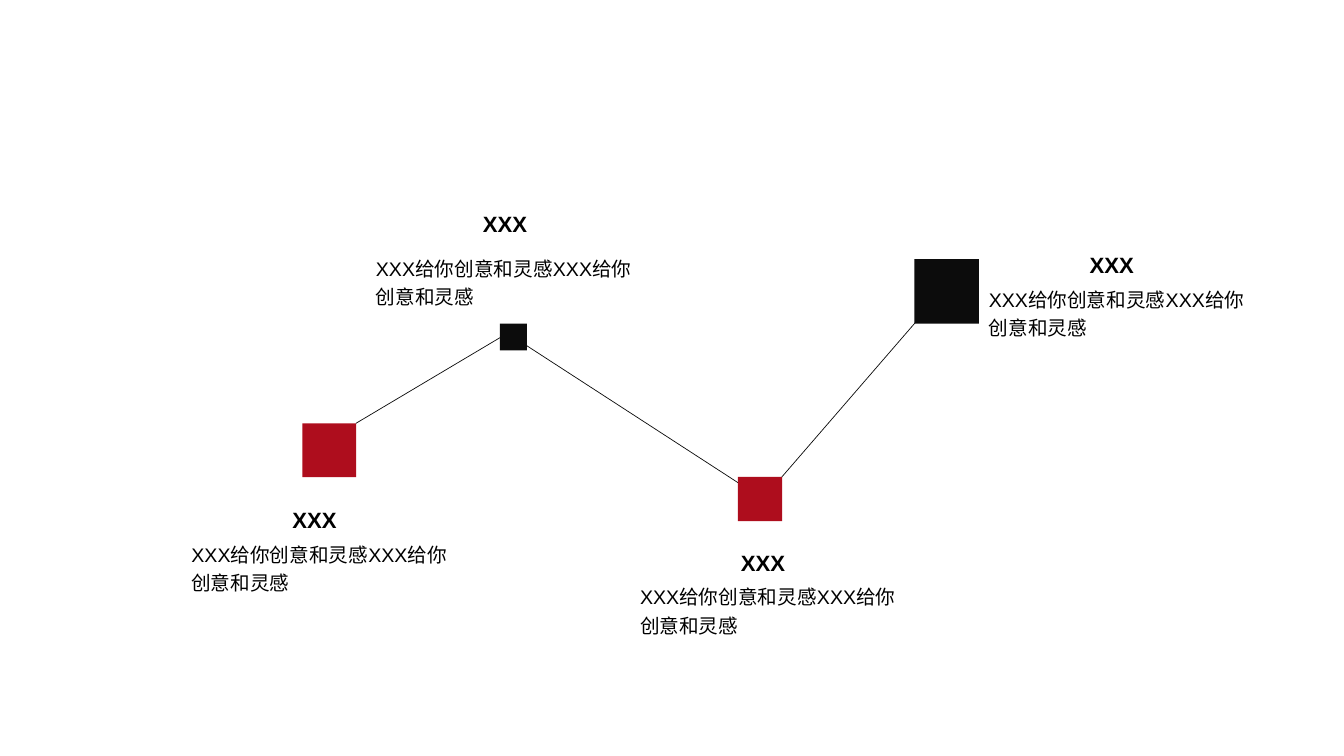
from dataclasses import dataclass

import pptx
import pptx.dml.color
import pptx.enum.shapes
import pptx.enum.text
import pptx.oxml.ns
import pptx.slide
import pptx.util
from lxml import etree


@dataclass(frozen=True)
class Theme:
    red: str = "AE0D1D"
    dark: str = "0C0C0C"
    text: str = "000000"
    font: str = "Arial"
    heading_size: float = 15.8
    body_size: float = 14
    line_width: float = 0.5
    line_spacing: float = 1.2


@dataclass(frozen=True)
class Link:
    x1: float
    y1: float
    x2: float
    y2: float


@dataclass(frozen=True)
class Node:
    x: float
    y: float
    side: float
    color: str


@dataclass(frozen=True)
class Caption:
    body_x: float
    body_y: float
    heading_x: float
    heading_y: float
    heading: str = "XXX"
    body: str = "XXX给你创意和灵感XXX给你创意和灵感"


THEME = Theme()
SLIDE_W = pptx.util.Inches(13.33)
SLIDE_H = pptx.util.Inches(7.5)
HEADING_W, HEADING_H = 13.5, 4
BODY_W, BODY_H = 21.15, 8.93

LINKS = [
    Link(26.48, 56, 37.2, 44.67),
    Link(38.85, 45.33, 55.28, 64.27),
    Link(57.6, 64.27, 69.15, 40.53),
]
NODES = [
    Node(22.5, 56, 4, THEME.red),
    Node(37.2, 42.8, 2, THEME.dark),
    Node(54.9, 63.07, 3.3, THEME.red),
    Node(68.03, 34.27, 4.8, THEME.dark),
]
CAPTIONS = [
    Caption(27.23, 32.67, 30.83, 27.2),
    Caption(13.5, 70.53, 16.65, 66.27),
    Caption(72.83, 36.8, 75.98, 32.53),
    Caption(46.88, 76.13, 50.03, 72),
]


def across(percent: float) -> int:
    return round(SLIDE_W * percent / 100)


def down(percent: float) -> int:
    return round(SLIDE_H * percent / 100)


def rgb(value: str) -> pptx.dml.color.RGBColor:
    return pptx.dml.color.RGBColor.from_string(value)


def add_link(s: pptx.slide.Slide, link: Link) -> None:
    sp = s.shapes.add_connector(
        pptx.enum.shapes.MSO_CONNECTOR.STRAIGHT,
        across(link.x1), down(link.y1), across(link.x2), down(link.y2),
    )
    sp.line.color.rgb = rgb(THEME.dark)
    sp.line.width = pptx.util.Pt(THEME.line_width)
    etree.SubElement(sp._element.spPr, pptx.oxml.ns.qn("a:effectLst"))


def add_node(s: pptx.slide.Slide, node: Node) -> None:
    side = across(node.side)
    sp = s.shapes.add_shape(
        pptx.enum.shapes.MSO_SHAPE.RECTANGLE,
        across(node.x), down(node.y), side, side,
    )
    sp.shadow.inherit = False
    sp.fill.solid()
    sp.fill.fore_color.rgb = rgb(node.color)
    sp.line.fill.background()


def add_text(
    s: pptx.slide.Slide, text: str, *, x: float, y: float, w: float, h: float,
    size: float, bold: bool = False, centred: bool = False, inset: bool = True,
) -> None:
    sp = s.shapes.add_textbox(across(x), down(y), across(w), down(h))
    tf = sp.text_frame
    tf.word_wrap = True
    tf.auto_size = pptx.enum.text.MSO_AUTO_SIZE.SHAPE_TO_FIT_TEXT
    if not inset:
        tf.margin_left = tf.margin_right = tf.margin_top = tf.margin_bottom = 0
    p = tf.paragraphs[0]
    p.line_spacing = THEME.line_spacing
    align = pptx.enum.text.PP_ALIGN
    p.alignment = align.CENTER if centred else align.LEFT
    r = p.add_run()
    r.text = text
    r.font.name = THEME.font
    r.font.size = pptx.util.Pt(size)
    r.font.bold = bold
    r.font.color.rgb = rgb(THEME.text)


def add_caption(s: pptx.slide.Slide, caption: Caption) -> None:
    add_text(
        s, caption.body, x=caption.body_x, y=caption.body_y,
        w=BODY_W, h=BODY_H, size=THEME.body_size,
    )
    add_text(
        s, caption.heading, x=caption.heading_x, y=caption.heading_y,
        w=HEADING_W, h=HEADING_H, size=THEME.heading_size,
        bold=True, centred=True, inset=False,
    )


def main() -> None:
    prs = pptx.Presentation()
    prs.slide_width = SLIDE_W
    prs.slide_height = SLIDE_H
    s = prs.slides.add_slide(prs.slide_layouts.get_by_name("Blank"))
    for link in LINKS:
        add_link(s, link)
    for node in NODES:
        add_node(s, node)
    for caption in CAPTIONS:
        add_caption(s, caption)
    prs.save("out.pptx")


if __name__ == "__main__":
    main()
